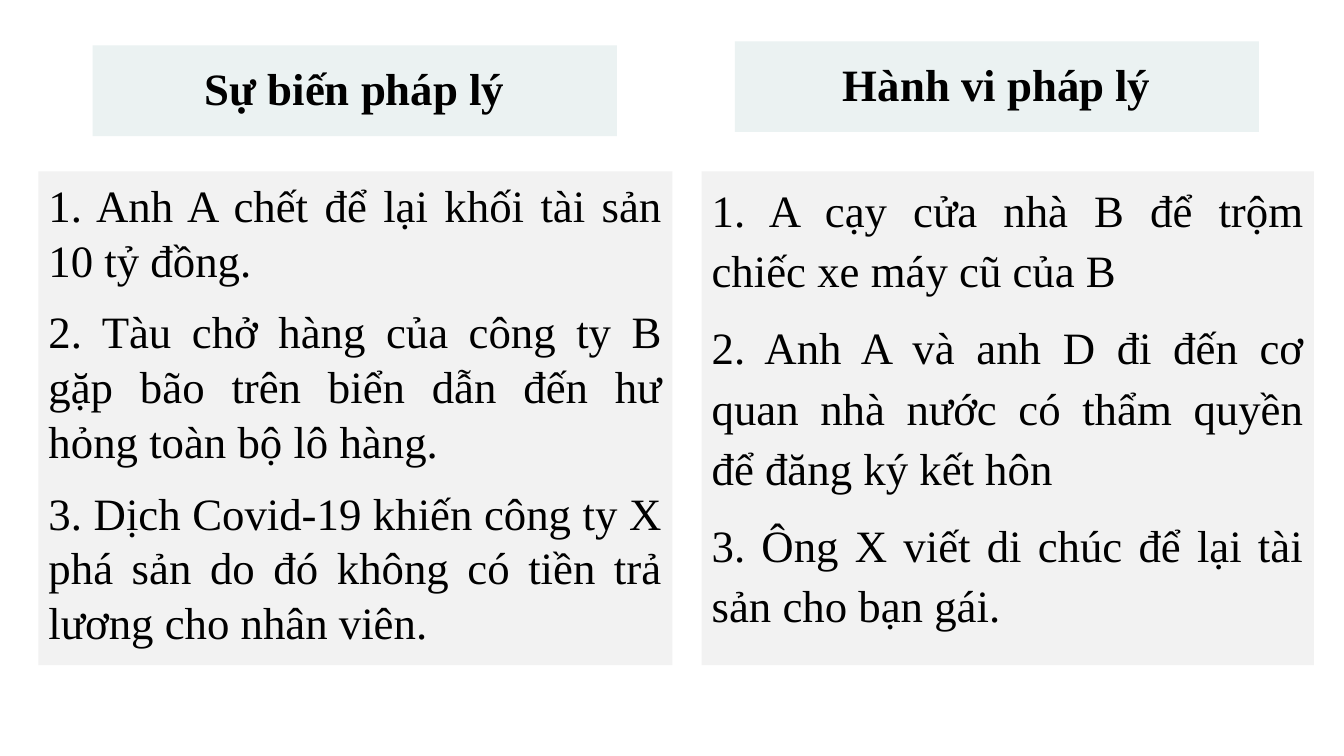
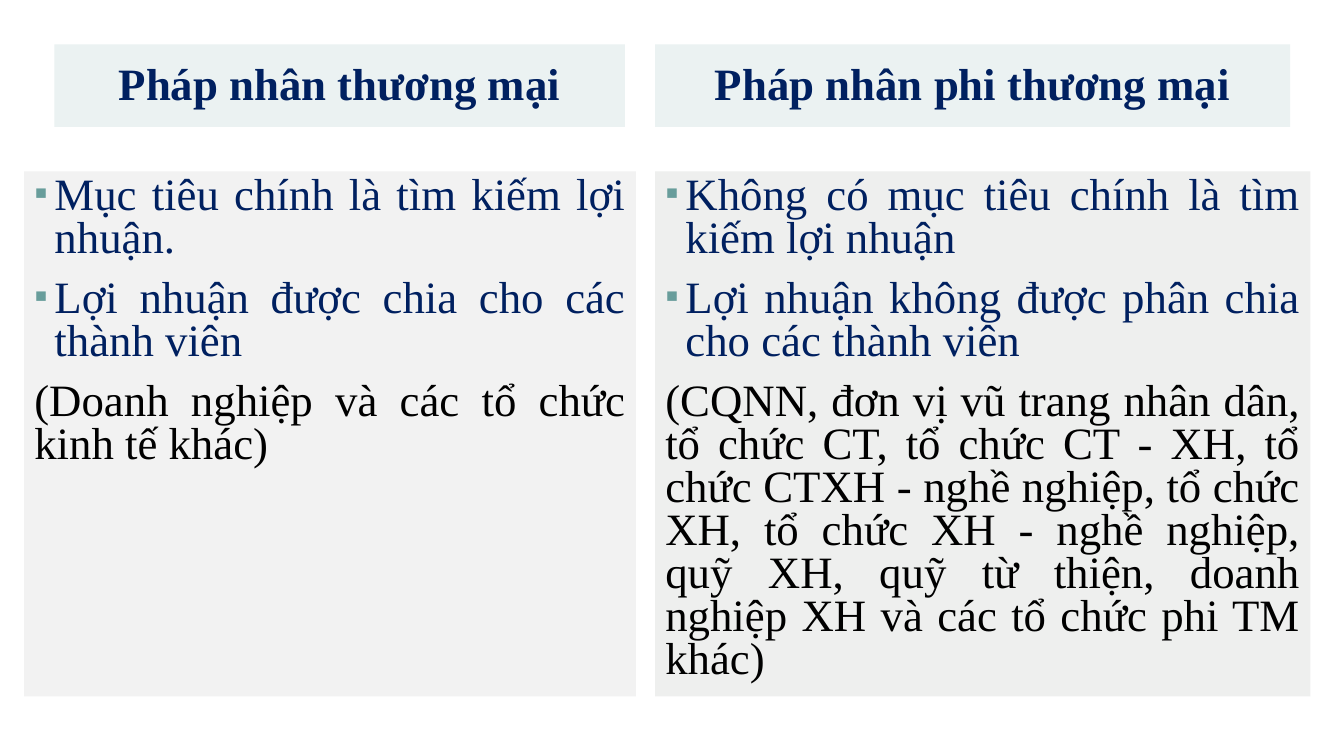
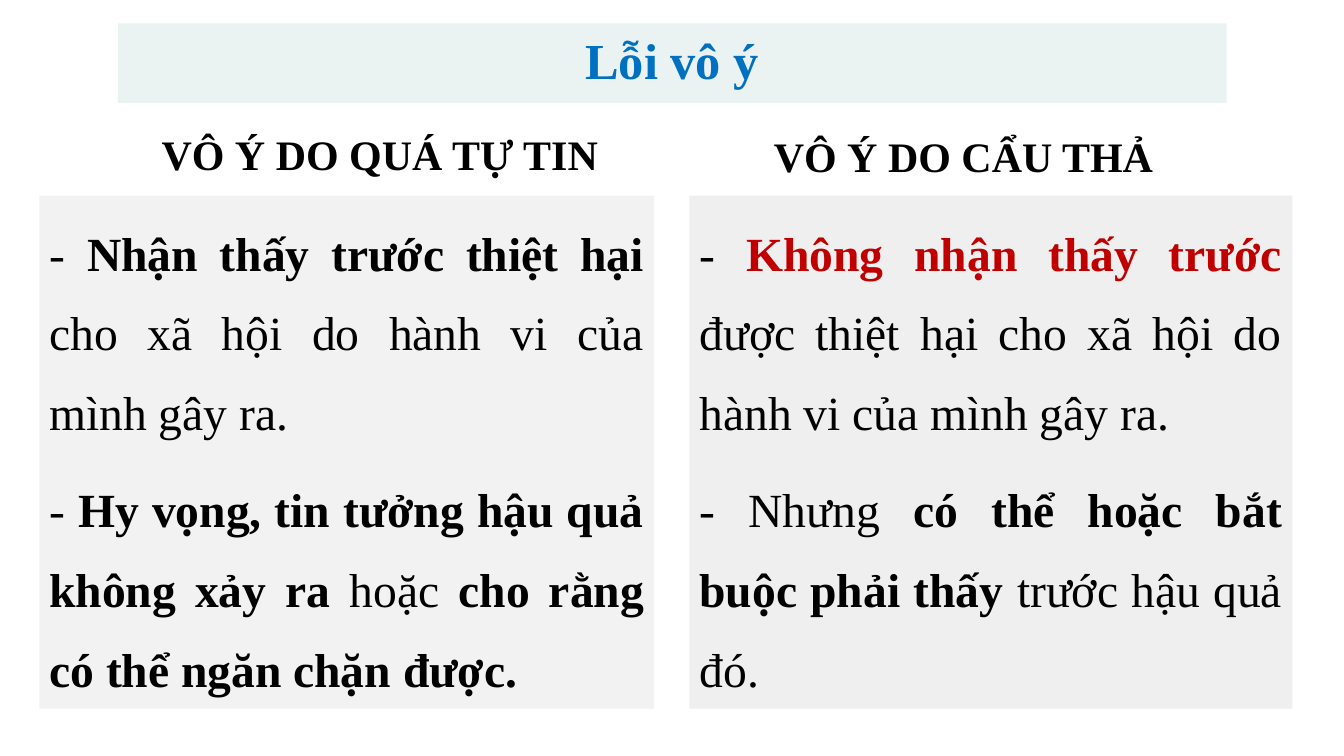
from dataclasses import dataclass

from lxml import etree
from pptx import Presentation
from pptx.dml.color import RGBColor
from pptx.enum import text
from pptx.oxml import ns
from pptx.util import Pt


@dataclass(frozen=True)
class Theme:
    font: str = "Times New Roman"
    black: str = "000000"
    navy: str = "002060"
    blue: str = "0070C0"
    red: str = "C00000"
    bullet: str = "689D9B"
    band: str = "EBF2F2"
    panel: str = "F2F2F2"
    panel_dark: str = "EEEFEE"
    title_size: int = 36
    body_size: int = 32
    label_size: int = 30
    large_size: int = 34
    space: int = 12
    indent: float = 14.4


T = Theme()
COMPARISON = 4  # layout with a title and two headed columns


# --- Text ---
def set_bullet(p, on):
    """Give the paragraph a small square bullet, or none."""
    pPr = p._p.get_or_add_pPr()
    indent = Pt(T.indent) if on else 0
    pPr.set("marL", str(indent))
    pPr.set("indent", str(-indent))

    def add(parent, tag, **attrs):
        return etree.SubElement(parent, ns.qn(tag), **attrs)

    if on:
        add(add(pPr, "a:buClr"), "a:srgbClr", val=T.bullet)
        add(pPr, "a:buSzPct", val="85000")
        add(pPr, "a:buChar", char="▪")
    else:
        add(pPr, "a:buNone")


def set_font(font, size, color, bold=None):
    font.name = T.font
    font.size = Pt(size)
    font.color.rgb = RGBColor.from_string(color)
    font.bold = bold


def add_runs(p, runs):
    """Each run is (words, bold) or (words, bold, colour)."""
    for words, bold, *color in runs:
        r = p.add_run()
        r.text = words
        r.font.bold = bold
        if color:
            r.font.color.rgb = RGBColor.from_string(color[0])


# --- Placeholders ---
def place(sp, box, fill=None):
    sp.left, sp.top, sp.width, sp.height = map(Pt, box)
    if fill:
        sp.fill.solid()
        sp.fill.fore_color.rgb = RGBColor.from_string(fill)
    tf = sp.text_frame
    tf.word_wrap = True
    tf.auto_size = text.MSO_AUTO_SIZE.NONE
    return tf


def heading(sp, box, words, size=T.body_size, color=T.black, fill=T.band):
    tf = place(sp, box, fill)
    tf.vertical_anchor = text.MSO_ANCHOR.MIDDLE
    p = tf.paragraphs[0]
    p.text = words
    p.alignment = text.PP_ALIGN.CENTER
    p.line_spacing = 0.9
    p.space_before = Pt(0)
    set_font(p.font, size, color, True)


def panel(sp, box, paragraphs, spacing, fill=T.panel, size=T.body_size, bullets=0):
    """Justified text; the first `bullets` paragraphs are a navy list."""
    tf = place(sp, box, fill)
    tf.vertical_anchor = text.MSO_ANCHOR.TOP
    for i, content in enumerate(paragraphs):
        p = tf.add_paragraph() if i else tf.paragraphs[0]
        set_bullet(p, i < bullets)
        p.alignment = text.PP_ALIGN.JUSTIFY
        p.line_spacing = spacing
        p.space_before = Pt(T.space if i else 0)
        set_font(p.font, size, T.navy if i < bullets else T.black)
        if isinstance(content, str):
            p.text = content
        else:
            add_runs(p, content)


def comparison_slide(prs, titled=False):
    """Return the title and the heading and panel of each column."""
    s = prs.slides.add_slide(prs.slide_layouts[COMPARISON])
    title, *columns = s.placeholders
    if not titled:
        title._element.getparent().remove(title._element)
    return title, *columns


# --- Slides ---
def events_and_acts(prs):
    _, left_head, left, right_head, right = comparison_slide(prs)
    heading(left_head, (66.2, 32.4, 374.4, 64.8), "Sự biến pháp lý")
    panel(left, (27.4, 122.4, 452.9, 352.8), [
        "1. Anh A chết để lại khối tài sản 10 tỷ đồng.",
        "2. Tàu chở hàng của công ty B gặp bão trên biển dẫn đến hư hỏng toàn bộ lô hàng.",
        "3. Dịch Covid-19 khiến công ty X phá sản do đó không có tiền trả lương cho nhân viên.",
    ], 1.02)
    heading(right_head, (524.9, 29.5, 374.4, 64.8), "Hành vi pháp lý")
    panel(right, (501.1, 122.4, 437.4, 352.8), [
        "1. A cạy cửa nhà B để trộm chiếc xe máy cũ của B",
        "2. Anh A và anh D đi đến cơ quan nhà nước có thẩm quyền để đăng ký kết hôn",
        "3. Ông X viết di chúc để lại tài sản cho bạn gái.",
    ], 1.12)


def legal_entities(prs):
    _, left_head, left, right_head, right = comparison_slide(prs)
    heading(left_head, (38.9, 31.7, 407.5, 59), "Pháp nhân thương mại", color=T.navy)
    panel(left, (17.3, 122.4, 437, 375.1), [
        "Mục tiêu chính là tìm kiếm lợi nhuận.",
        "Lợi nhuận được chia cho các thành viên",
        "(Doanh nghiệp và các tổ chức kinh tế khác)",
    ], 0.8, bullets=2)
    heading(right_head, (468, 31.7, 453.6, 59), "Pháp nhân phi thương mại", color=T.navy)
    panel(right, (468, 122.4, 468, 375.1), [
        "Không có mục tiêu chính là tìm kiếm lợi nhuận",
        "Lợi nhuận không được phân chia cho các thành viên",
        "(CQNN, đơn vị vũ trang nhân dân, tổ chức CT, tổ chức CT - XH, "
        "tổ chức CTXH - nghề nghiệp, tổ chức XH, tổ chức XH - nghề nghiệp, "
        "quỹ XH, quỹ từ thiện, doanh nghiệp XH và các tổ chức phi TM khác)",
    ], 0.8, T.panel_dark, bullets=2)


def unintentional_fault(prs):
    title, left_head, left, right_head, right = comparison_slide(prs, titled=True)
    heading(title, (84.2, 16.6, 792, 56.9), "Lỗi vô ý", T.title_size, T.blue)
    heading(left_head, (84.2, 87.1, 374.4, 50.4), "VÔ Ý DO QUÁ TỰ TIN",
            T.label_size, fill=None)
    panel(left, (28.1, 139.7, 439.2, 366.5), [
        [("- ", False), ("Nhận thấy trước thiệt hại ", True),
         ("cho xã hội do hành vi của mình gây ra.", False)],
        [("- ", False), ("Hy vọng, tin tưởng hậu quả không xảy ra ", True),
         ("hoặc ", False), ("cho rằng có thể ngăn chặn được.", True)],
    ], 1.4, size=T.large_size)
    heading(right_head, (501.1, 89.3, 374.4, 48.2), "VÔ Ý DO CẨU THẢ",
            T.label_size, fill=None)
    panel(right, (492.5, 139.7, 430.6, 366.5), [
        [("- ", False), ("Không nhận thấy trước ", True, T.red),
         ("được thiệt hại cho xã hội do hành vi của mình gây ra.", False)],
        [("- Nhưng ", False), ("có thể hoặc bắt buộc phải thấy ", True),
         ("trước hậu quả đó.", False)],
    ], 1.4, T.panel_dark, T.large_size)


def main():
    prs = Presentation()
    prs.slide_width, prs.slide_height = Pt(960), Pt(540)
    events_and_acts(prs)
    legal_entities(prs)
    unintentional_fault(prs)
    prs.save("out.pptx")


if __name__ == "__main__":
    main()
